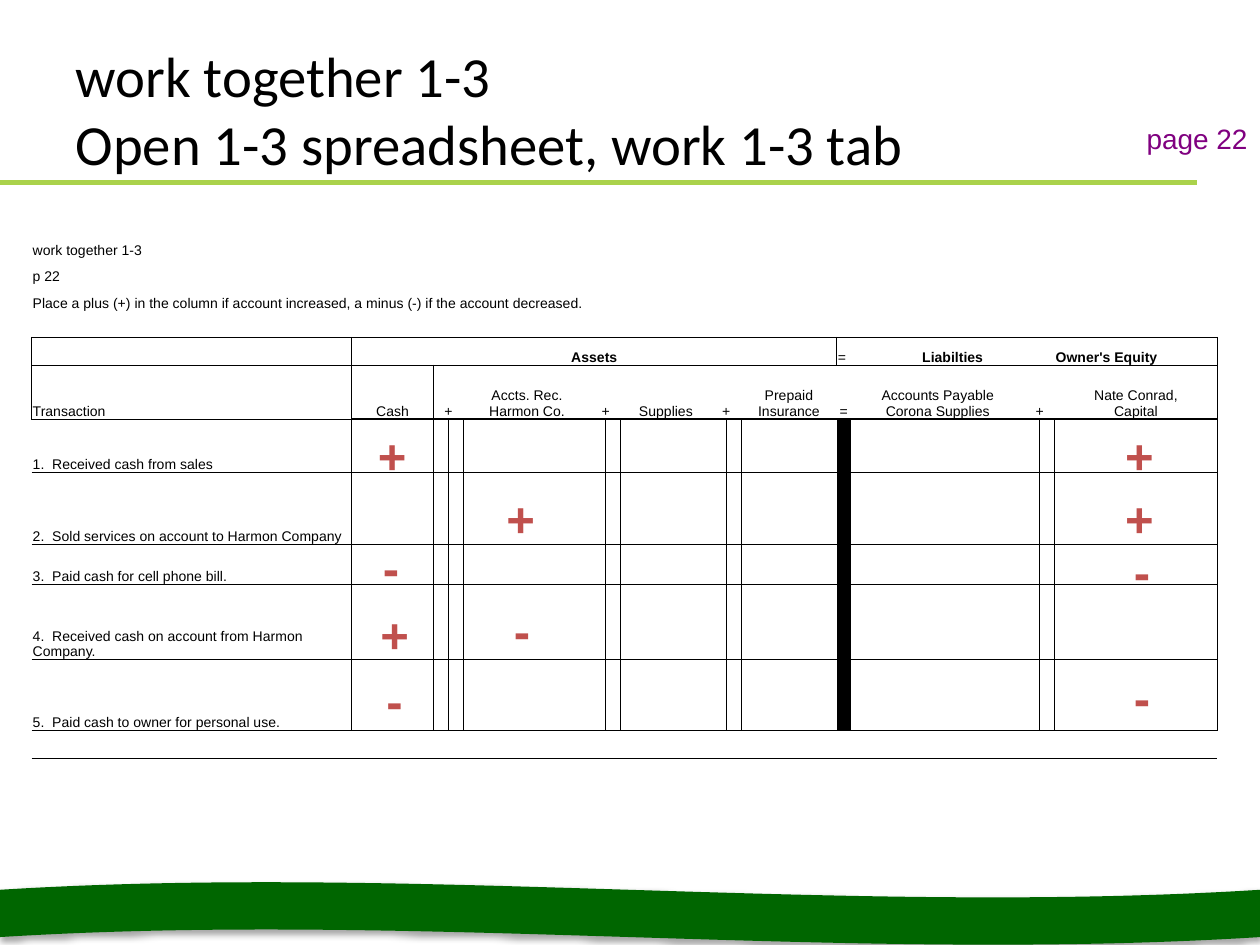
from lxml import etree
from pptx import Presentation, util as u
from pptx.dml.color import RGBColor
from pptx.enum import shapes, text
from pptx.oxml import ns

TITLE = "work together 1-3\vOpen 1-3 spreadsheet, work 1-3 tab"
PAGE = "page 22"
INTRO = [
    "work together 1-3",
    "p 22",
    "Place a plus (+) in the column if account increased, a minus (-) if the account decreased.",
]
TRANSACTIONS = [
    "1.  Received cash from sales",
    "2.  Sold services on account to Harmon Company",
    "3.  Paid cash for cell phone bill.",
    "4.  Received cash on account from Harmon Company.",
    "5.  Paid cash to owner for personal use.",
]
# column, columns spanned, words, bold, centred
EQUATION = [
    (1, 10, "Assets", True, True),
    (11, 1, "=", False, False),
    (12, 3, "Liabilties", True, True),
    (15, 1, "Owner's Equity", True, False),
]
ACCOUNTS = [
    (0, 1, "Transaction", False, False),
    (1, 1, "Cash", False, True),
    (2, 2, "+", False, True),
    (4, 1, "Accts. Rec.\vHarmon Co.", False, True),
    (5, 2, "+", False, True),
    (7, 1, "Supplies", False, True),
    (8, 2, "+", False, True),
    (10, 1, "Prepaid\vInsurance", False, True),
    (11, 1, "=", False, True),
    (12, 1, "Accounts Payable\vCorona Supplies", False, True),
    (13, 2, "+", False, True),
    (15, 1, "Nate Conrad,\vCapital", False, True),
]
MARKS = [
    ("+", 7.37, 8.46), ("-", 7.47, 10.72), ("+", 7.42, 12.07), ("-", 7.54, 13.39),
    ("-", 10.11, 11.99), ("+", 9.96, 9.73),
    ("+", 22.43, 8.46), ("+", 22.43, 9.73), ("-", 22.61, 10.8), ("-", 22.61, 13.34),
]
MARK_WIDTHS = {"+": 1.07, "-": 0.69}
COLUMNS = [6.45, 1.65, 0.3, 0.3, 2.57, 0.3, 0.3, 1.83, 0.3, 0.3, 1.93, 0.28, 3.51, 0.3, 0.3, 3.28]
ROWS = [0.56, 0.53, 0.53, 0.53, 0.56, 1.09, 1.07, 1.45, 0.81, 1.52, 1.42, 0.56, 0.56]
EQUATION_ROW, ACCOUNT_ROW, FIRST_ROW, LAST_ROW = 4, 5, 6, 10
EQUALS_COLUMN, LAST_COLUMN = 11, len(COLUMNS) - 1
THEME = {
    "title": {"name": "Calibri", "size": u.Pt(32.4), "color": "000000", "bold": False},
    "page": {"name": "Arial", "size": u.Pt(16), "color": "800080", "bold": False},
    "mark": {"name": "Arial", "size": u.Pt(28), "color": "C0504D", "bold": True},
    "table": {"name": "Arial", "size": u.Pt(8), "color": "000000", "bold": False},
    "wave": "006600", "rule": "AAD24B", "ink": "000000",
}


def apply(target, values):
    for name, value in values.items():
        setattr(target, name, value)


def add_xml(parent, tag, **attributes):
    return etree.SubElement(parent, ns.qn(tag), attributes)


def write(frame, words, style, align=text.PP_ALIGN.LEFT):
    paragraph = frame.paragraphs[0]
    paragraph.text = words
    paragraph.alignment = align
    size = str(int(style["size"].pt * 100))
    for run in paragraph.runs:
        apply(run.font, {key: style[key] for key in ("name", "size", "bold")})
        run.font.color.rgb = RGBColor.from_string(style["color"])
    for line_break in paragraph._p.findall(ns.qn("a:br")):
        add_xml(line_break, "a:rPr", sz=size)
    add_xml(paragraph._p, "a:endParaRPr", sz=size)
    return paragraph


def add_box(slide, left, top, width, height):
    return slide.shapes.add_textbox(*map(u.Cm, (left, top, width, height))).text_frame


def add_band(slide):
    wave = slide.shapes.add_shape(
        shapes.MSO_SHAPE.WAVE, u.Cm(0), u.Cm(17.78), u.Cm(25.4), u.Cm(1.27))
    wave.fill.solid()
    wave.fill.fore_color.rgb = RGBColor.from_string(THEME["wave"])
    wave.line.fill.background()
    effects = add_xml(wave._element.spPr, "a:effectLst")
    shadow = add_xml(effects, "a:outerShdw", blurRad=str(u.Pt(3.1)), dist=str(u.Pt(1.8)),
                     dir="5400000", rotWithShape="0")
    color = add_xml(shadow, "a:srgbClr", val=THEME["ink"])
    add_xml(color, "a:alpha", val="35000")


def add_rule(slide):
    rule = slide.shapes.add_connector(
        shapes.MSO_CONNECTOR.STRAIGHT, u.Cm(0), u.Cm(3.68), u.Cm(24.13), u.Cm(3.68))
    rule.line.color.rgb = RGBColor.from_string(THEME["rule"])
    rule.line.width = u.Pt(3)
    add_xml(rule._element.spPr, "a:effectLst")


def weight_below(row, column):
    if row == ACCOUNT_ROW and column > 0:
        return 1
    skipped = row == EQUATION_ROW and column == 0
    return 0.5 if EQUATION_ROW - 1 <= row <= LAST_ROW and not skipped else 0


def weight_after(row, column):
    if row in (EQUATION_ROW, ACCOUNT_ROW):
        lines = (-1, 0, LAST_COLUMN)
    elif FIRST_ROW <= row <= LAST_ROW:
        lines = (0, 2, 5, 8, 13, LAST_COLUMN)
    else:
        lines = ()
    return 0.5 if column in lines else 0


def set_borders(cell, row, column):
    weights = {
        "a:lnL": weight_after(row, column - 1), "a:lnR": weight_after(row, column),
        "a:lnT": weight_below(row - 1, column), "a:lnB": weight_below(row, column),
    }
    for tag, weight in weights.items():
        if weight:
            line = add_xml(cell._tc.get_or_add_tcPr(), tag, w=str(u.Pt(weight)))
            add_xml(add_xml(line, "a:solidFill"), "a:srgbClr", val=THEME["ink"])


def table_entries():
    entries = {(row, 0): (1, words, False, False) for row, words in enumerate(INTRO)}
    entries[2, 0] = (11, INTRO[2], False, False)
    for row, words in enumerate(TRANSACTIONS, FIRST_ROW):
        entries[row, 0] = (1, words, False, False)
    for row, headings in ((EQUATION_ROW, EQUATION), (ACCOUNT_ROW, ACCOUNTS)):
        for column, *entry in headings:
            entries[row, column] = entry
    return entries


def add_ledger(slide):
    table = slide.shapes.add_table(
        len(ROWS), len(COLUMNS), u.Cm(0.64), u.Cm(4.65), u.Cm(sum(COLUMNS)), u.Cm(sum(ROWS))).table
    apply(table, {"first_row": False, "horz_banding": False})
    style_id = table._tbl.tblPr.find(ns.qn("a:tableStyleId"))
    style_id.text = "{2D5ABB26-0587-4C30-8999-92F81FD0307C}"
    for column, width in zip(table.columns, COLUMNS):
        column.width = u.Cm(width)
    for row, height in zip(table.rows, ROWS):
        row.height = u.Cm(height)
    margins = {"margin_left": u.Cm(0.02), "margin_right": u.Cm(0.02),
               "margin_top": u.Cm(0.02), "margin_bottom": u.Cm(0),
               "vertical_anchor": text.MSO_ANCHOR.BOTTOM}
    entries = table_entries()
    for row in range(len(ROWS)):
        for column in range(len(COLUMNS)):
            cell = table.cell(row, column)
            span, words, bold, centred = entries.get((row, column), (1, "", False, False))
            align = text.PP_ALIGN.CENTER if centred else text.PP_ALIGN.LEFT
            apply(cell, margins)
            write(cell.text_frame, words, {**THEME["table"], "bold": bold}, align)
            set_borders(cell, row, column)
            if column == EQUALS_COLUMN and FIRST_ROW <= row <= LAST_ROW:
                cell.fill.solid()
                cell.fill.fore_color.rgb = RGBColor.from_string(THEME["ink"])
            else:
                cell.fill.background()
    for (row, column), (span, *_) in entries.items():
        if span > 1:
            table.cell(row, column).merge(table.cell(row, column + span - 1))


def add_mark(slide, sign, left, top):
    frame = add_box(slide, left, top, MARK_WIDTHS[sign], 1.45)
    apply(frame, {"word_wrap": False, "auto_size": text.MSO_AUTO_SIZE.SHAPE_TO_FIT_TEXT})
    paragraph = write(frame, sign, THEME["mark"])
    spacing = add_xml(paragraph._p.get_or_add_pPr(), "a:spcBef")
    add_xml(spacing, "a:spcPct", val="50000")


def main():
    presentation = Presentation()
    apply(presentation, {"slide_width": u.Cm(25.4), "slide_height": u.Cm(19.05)})
    slide = presentation.slides.add_slide(presentation.slide_layouts[5])
    add_band(slide)
    add_rule(slide)
    title = slide.shapes.title
    apply(title, {"left": u.Cm(1.27), "top": u.Cm(0.51), "width": u.Cm(21.59), "height": u.Cm(3.18)})
    bottom = {"word_wrap": True, "auto_size": text.MSO_AUTO_SIZE.NONE,
              "vertical_anchor": text.MSO_ANCHOR.BOTTOM}
    apply(title.text_frame, bottom)
    write(title.text_frame, TITLE, THEME["title"])
    add_ledger(slide)
    for mark in MARKS:
        add_mark(slide, *mark)
    page = add_box(slide, 21.59, 1.98, 3.81, 1.27)
    apply(page, bottom)
    write(page, PAGE, THEME["page"], text.PP_ALIGN.RIGHT)
    presentation.save("out.pptx")


if __name__ == "__main__":
    main()
